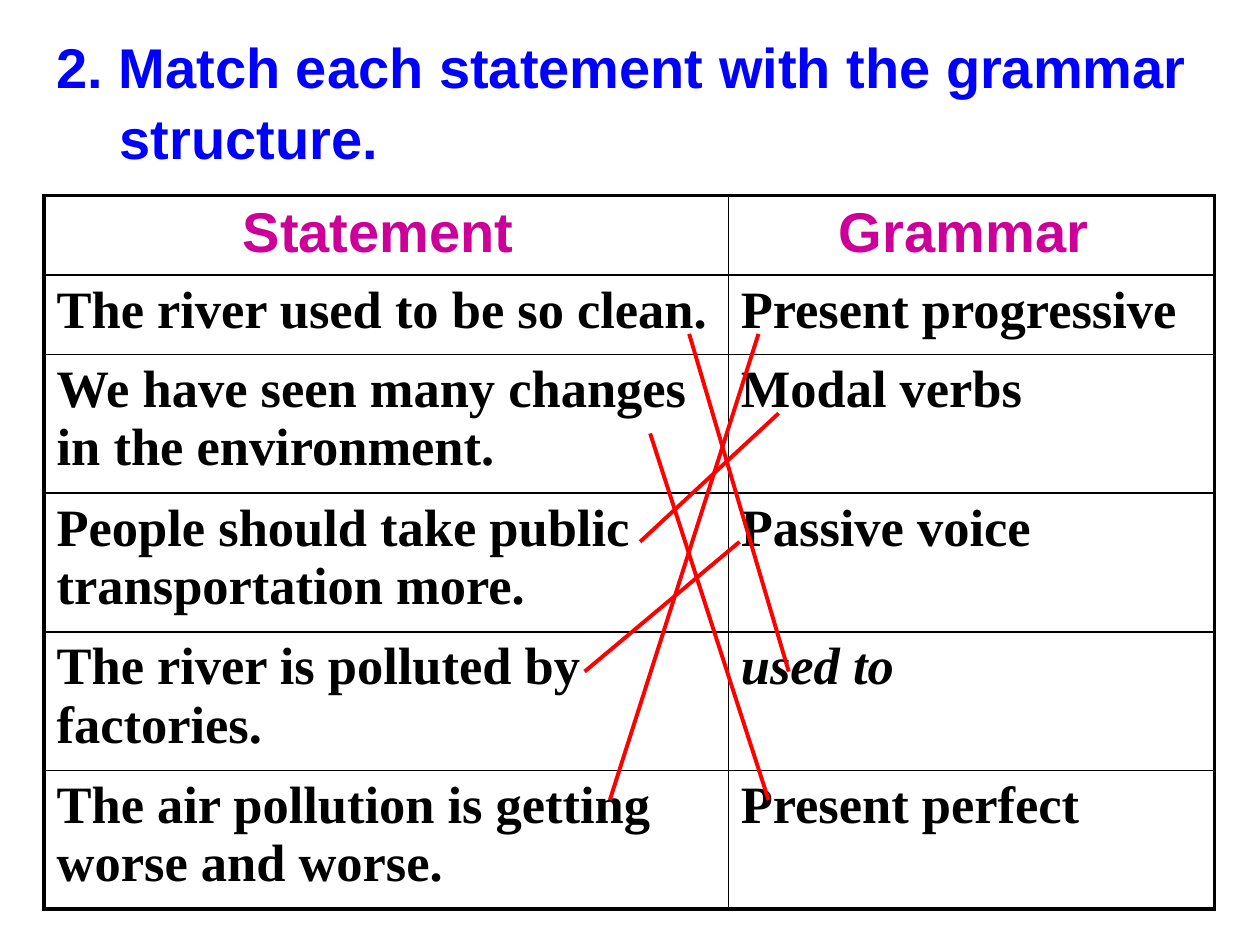
from lxml import etree
from pptx import Presentation
from pptx.dml.color import RGBColor
from pptx.enum.shapes import MSO_CONNECTOR
from pptx.enum.text import PP_ALIGN
from pptx.oxml import parse_xml
from pptx.oxml.ns import nsdecls, qn
from pptx.util import Inches, Pt

COLORS = {"title": "0000FF", "header": "CC0099", "text": "000000",
          "border": "000000", "match": "FF0000"}
THIN, THICK = 1, 2.25


def write(paragraph, text, font="Times New Roman", size=30, color="text",
          italic=False, align=PP_ALIGN.LEFT):
    paragraph.alignment = align
    run = paragraph.add_run()
    run.text = text
    run.font.name = font
    run.font.size = Pt(size)
    run.font.bold = True
    run.font.italic = italic
    run.font.color.rgb = RGBColor.from_string(COLORS[color])


def set_borders(cell, widths):
    """Draw the cell's edges; widths maps L, R, T and B to points."""
    properties = cell._tc.get_or_add_tcPr()
    for index, (side, width) in enumerate(widths.items()):
        properties.insert(index, parse_xml(
            f'<a:ln{side} {nsdecls("a")} w="{Pt(width)}"><a:solidFill>'
            f'<a:srgbClr val="{COLORS["border"]}"/></a:solidFill></a:ln{side}>'))


presentation = Presentation()
presentation.slide_width = Inches(10)
presentation.slide_height = Inches(7.5)
slide = presentation.slides.add_slide(presentation.slide_layouts[6])

# Title, with its second line indented past the number
title = slide.shapes.add_textbox(Inches(0.35), Inches(0.21), Inches(9.21), Inches(1.17))
title_frame = title.text_frame
title_frame.word_wrap = True
first_line, second_line = title_frame.paragraphs[0], title_frame.add_paragraph()
first_line.space_after = Pt(2)
second_line._p.get_or_add_pPr().set("marL", str(Inches(0.5)))
for paragraph, text in ((first_line, "2. Match each statement with the grammar"),
                        (second_line, "structure.")):
    write(paragraph, text, font="Arial", size=32, color="title")

# Table of statements and grammar structures
rows = [
    ("Statement ", "Grammar "),
    ("The river used to be so clean.", "Present progressive"),
    ("We have seen many changes in the environment.", "Modal verbs"),
    ("People should take public transportation more.", "Passive voice"),
    ("The river is polluted by factories.", "used to"),
    ("The air pollution is getting worse and worse.", "Present perfect"),
]
column_widths = [5.43, 3.86]
row_heights = [0.63] * 2 + [1.1] * 4
table = slide.shapes.add_table(
    len(rows), len(column_widths), Inches(0.35), Inches(1.55),
    Inches(sum(column_widths)), Inches(sum(row_heights))).table
table.first_row = table.horz_banding = False
for column, width in zip(table.columns, column_widths):
    column.width = Inches(width)
for row, height in zip(table.rows, row_heights):
    row.height = Inches(height)

last_row, last_column = len(rows) - 1, len(column_widths) - 1
for row_index, texts in enumerate(rows):
    for column_index, text in enumerate(texts):
        cell = table.cell(row_index, column_index)
        cell.fill.background()
        set_borders(cell, {
            "L": THICK if column_index == 0 else THIN,
            "R": THICK if column_index == last_column else THIN,
            "T": THICK if row_index == 0 else THIN,
            "B": THICK if row_index == last_row else THIN,
        })
        paragraph = cell.text_frame.paragraphs[0]
        if row_index == 0:
            write(paragraph, text, font="Arial", size=32, color="header",
                  align=PP_ALIGN.CENTER)
        else:
            write(paragraph, text, italic=text == "used to")

# Lines from each statement to its grammar structure
matches = [
    ((5.08, 4.3), (6.18, 3.28)),
    ((4.64, 5.33), (5.87, 4.3)),
    ((5.47, 2.65), (6.26, 5.33)),
    ((5.16, 3.44), (6.1, 6.35)),
    ((4.84, 6.35), (6.02, 2.65)),
]
for start, end in matches:
    connector = slide.shapes.add_connector(
        MSO_CONNECTOR.STRAIGHT, *(Inches(value) for value in start + end))
    connector.line.color.rgb = RGBColor.from_string(COLORS["match"])
    connector.line.width = Pt(THICK)
    etree.SubElement(connector._element.spPr, qn("a:effectLst"))

presentation.save("out.pptx")
